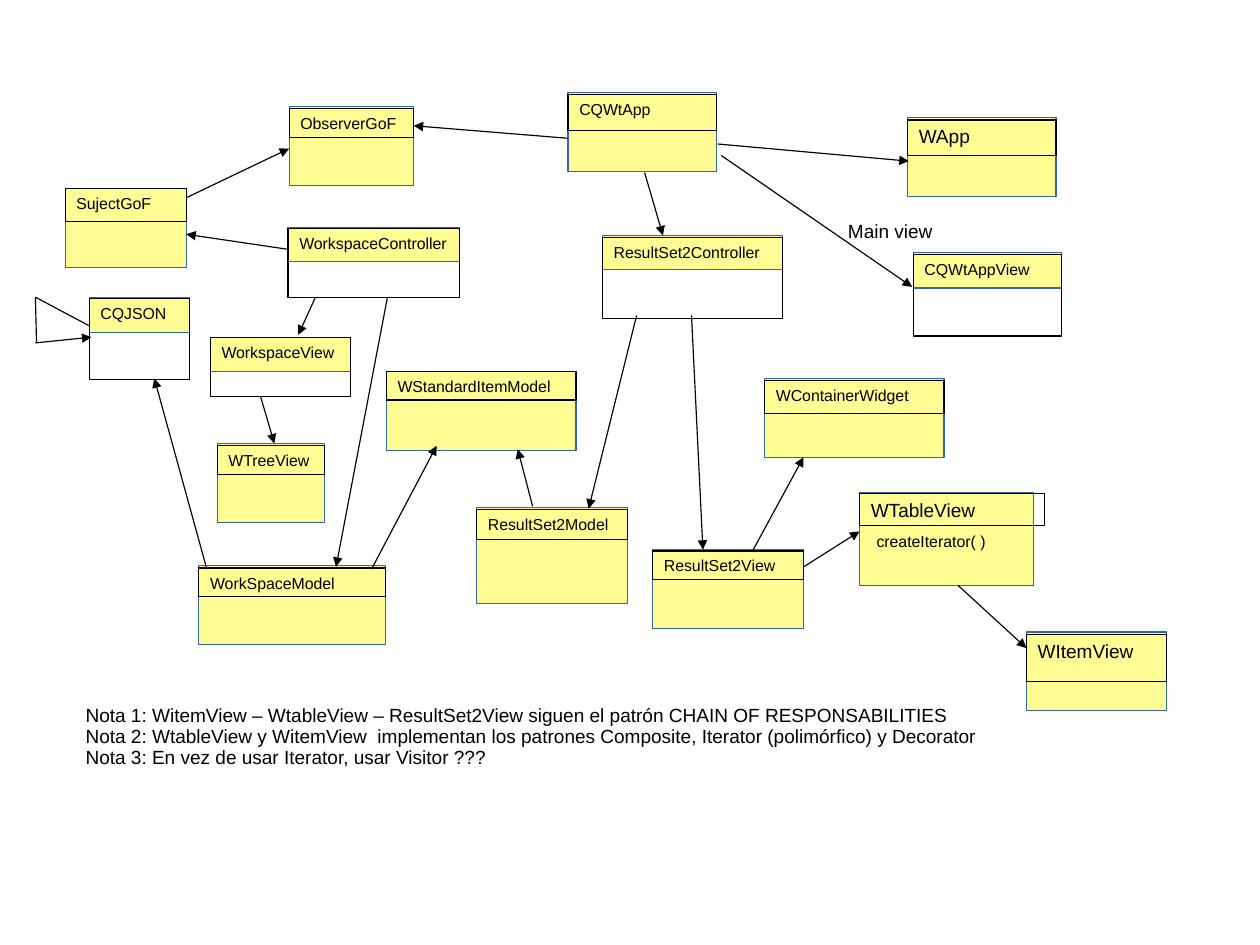
from dataclasses import dataclass

from lxml import etree
from pptx import Presentation
from pptx.dml.color import RGBColor
from pptx.enum.shapes import MSO_CONNECTOR, MSO_SHAPE
from pptx.enum.text import MSO_ANCHOR, PP_ALIGN
from pptx.oxml.ns import qn
from pptx.util import Cm, Inches, Pt

RECT = MSO_SHAPE.RECTANGLE
STRAIGHT = MSO_CONNECTOR.STRAIGHT
TOP = MSO_ANCHOR.TOP
LEFT = PP_ALIGN.LEFT


@dataclass(frozen=True)
class Theme:
    font: str = "Arial"
    small: int = 10
    large: int = 12
    line_width: float = 0.75
    spacing: float = 0.93
    ink: RGBColor = RGBColor(0x00, 0x00, 0x00)
    fill: RGBColor = RGBColor(0xFF, 0xFC, 0x93)
    edge: RGBColor = RGBColor(0x34, 0x65, 0xA4)


@dataclass(frozen=True)
class ClassBox:
    name: str
    left: float
    width: float
    filled: tuple
    outlined: tuple
    size: int = Theme.small
    overhang: float = 0


CLASSES = [
    ClassBox("SujectGoF", 0.57, 1.06, (1.65, 0.69), (1.65, 0.29)),
    ClassBox("ObserverGoF", 2.53, 1.09, (0.93, 0.69), (0.95, 0.25)),
    ClassBox("CQWtApp", 4.97, 1.3, (0.81, 0.69), (0.83, 0.31)),
    ClassBox("WApp", 7.94, 1.3, (1.03, 0.69), (1.05, 0.31), Theme.large),
    ClassBox("CQWtAppView", 7.99, 1.3, (2.21, 0.31), (2.23, 0.71)),
    ClassBox("ResultSet2Controller", 5.27, 1.58, (2.06, 0.3), (2.08, 0.71)),
    ClassBox("WorkspaceController", 2.52, 1.5, (1.99, 0.3), (2, 0.6)),
    ClassBox("WorkSpaceModel", 1.74, 1.63, (4.95, 0.69), (4.97, 0.25)),
    ClassBox("CQJSON", 0.78, 0.88, (2.6, 0.31), (2.61, 0.71)),
    ClassBox("WorkspaceView", 1.84, 1.23, (2.95, 0.3), (2.95, 0.52)),
    ClassBox("WTreeView", 1.9, 0.94, (3.88, 0.69), (3.9, 0.25)),
    ClassBox("WStandardItemModel", 3.38, 1.66, (3.25, 0.69), (3.25, 0.25)),
    ClassBox("ResultSet2Model", 4.17, 1.32, (4.44, 0.84), (4.46, 0.26)),
    ClassBox("ResultSet2View", 5.71, 1.32, (4.81, 0.69), (4.82, 0.25)),
    ClassBox("WContainerWidget", 6.69, 1.57, (3.31, 0.69), (3.33, 0.29)),
    ClassBox("WTableView", 7.52, 1.52, (4.31, 0.81), (4.32, 0.28), Theme.large, 0.1),
    ClassBox("WItemView", 8.98, 1.23, (5.53, 0.69), (5.55, 0.41), Theme.large),
]

ARROWS = [
    ((4.97, 1.21), (3.62, 1.1)),
    ((6.28, 1.26), (7.95, 1.41)),
    ((6.31, 1.36), (7.98, 2.51)),
    ((5.64, 1.51), (5.8, 2.06)),
    ((1.63, 1.73), (2.53, 1.3)),
    ((2.51, 2.18), (1.63, 2.05)),
    ((0.31, 3), (0.8, 2.95)),
    ((3.39, 2.6), (2.94, 4.96)),
    ((1.81, 4.98), (1.35, 3.31)),
    ((2.76, 2.6), (2.61, 2.93)),
    ((2.28, 3.47), (2.4, 3.88)),
    ((3.25, 4.98), (3.82, 3.9)),
    ((4.66, 4.43), (4.53, 3.93)),
    ((5.57, 2.76), (5.15, 4.45)),
    ((6.05, 2.76), (6.15, 4.81)),
    ((6.59, 4.81), (7.03, 4)),
    ((7.03, 4.96), (7.52, 4.65)),
    ((8.38, 5.12), (8.98, 5.67)),
]

SELF_LOOP = [
    ((0.78, 2.85), (0.31, 2.6)),
    ((0.31, 2.6), (0.32, 3)),
]

NOTES = [
    "Nota 1: WitemView – WtableView – ResultSet2View siguen el patrón CHAIN OF RESPONSABILITIES",
    "Nota 2: WtableView y WitemView  implementan los patrones Composite, Iterator (polimórfico) y Decorator",
    "Nota 3: En vez de usar Iterator, usar Visitor ???",
]

LABELS = [
    (["Main view"], (7.32, 1.88, 1.18, 0.4), Theme.large),
    (NOTES, (0.65, 6.11, 9.82, 1.61), Theme.large),
    (["createIterator( )"], (7.57, 4.61, 1.41, 0.25), Theme.small),
]


def inches(values):
    return [Inches(v) for v in values]


def write(sp, lines, size):
    tf = sp.text_frame
    tf.word_wrap = True
    tf.vertical_anchor = TOP
    tf.margin_left = tf.margin_right = Inches(0.1)
    tf.margin_top, tf.margin_bottom = Inches(0.06), Inches(0.05)
    tf.text = "\n".join(lines)
    for p in tf.paragraphs:
        p.alignment = LEFT
        p.line_spacing = Theme.spacing
        p.font.name = Theme.font
        p.font.size = Pt(size)
        p.font.color.rgb = Theme.ink


def add_rect(s, at, edge, fill=None):
    sp = s.shapes.add_shape(RECT, *inches(at))
    sp.shadow.inherit = False
    sp.line.color.rgb = edge
    sp.line.width = Pt(Theme.line_width)
    if fill is None:
        sp.fill.background()
    else:
        sp.fill.solid()
        sp.fill.fore_color.rgb = fill
    return sp


def add_class(s, box):
    top, height = box.filled
    add_rect(s, (box.left, top, box.width, height), Theme.edge, Theme.fill)
    top, height = box.outlined
    sp = add_rect(s, (box.left, top, box.width + box.overhang, height), Theme.ink)
    write(sp, [box.name], box.size)


def add_line(s, start, end, arrow=False):
    sp = s.shapes.add_connector(STRAIGHT, *inches(start + end))
    sp.line.color.rgb = Theme.ink
    sp.line.width = Pt(Theme.line_width)
    if arrow:
        ln = sp._element.spPr.find(qn("a:ln"))
        etree.SubElement(ln, qn("a:tailEnd"), type="triangle")
    etree.SubElement(sp._element.spPr, qn("a:effectLst"))


def main():
    prs = Presentation()
    prs.slide_width = Cm(28)
    prs.slide_height = Cm(21)
    s = prs.slides.add_slide(prs.slide_layouts[6])
    for box in CLASSES:
        add_class(s, box)
    for start, end in SELF_LOOP:
        add_line(s, start, end)
    for start, end in ARROWS:
        add_line(s, start, end, arrow=True)
    for lines, at, size in LABELS:
        write(s.shapes.add_textbox(*inches(at)), lines, size)
    prs.save("out.pptx")


if __name__ == "__main__":
    main()
